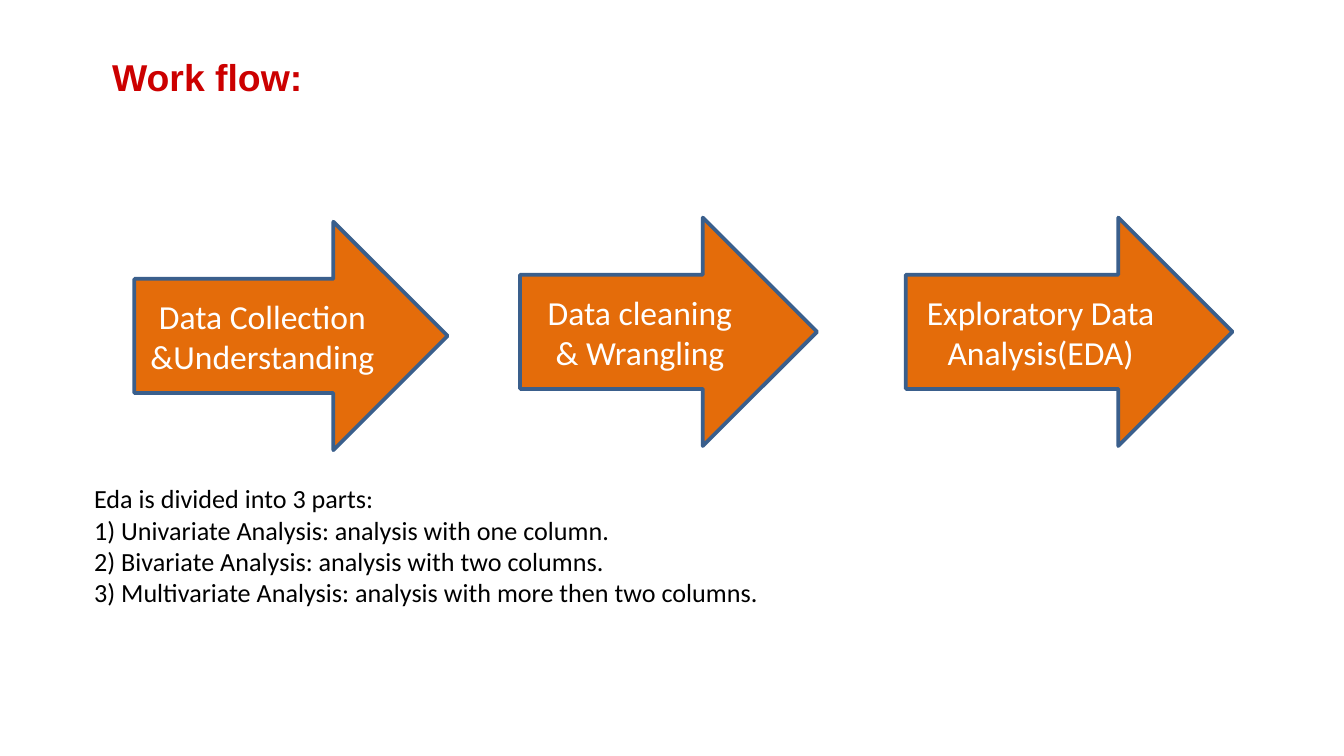
from pptx import Presentation
from pptx.dml.color import RGBColor
from pptx.enum.shapes import MSO_SHAPE as Shape
from pptx.enum.text import MSO_ANCHOR as Anchor, PP_ALIGN as Align
from pptx.util import Pt

STEPS = [  # label, left, top, width
    ("Data Collection &Understanding", 72, 118.8, 167.8),
    ("Data cleaning & Wrangling", 278.6, 116.6, 159.1),
    ("Exploratory Data Analysis(EDA)", 485.3, 116.6, 175),
]
STEP_HEIGHT = 122.4
EDA_LINES = [
    "Eda is divided into 3 parts:",
    "1) Univariate Analysis: analysis with one column.",
    "2) Bivariate Analysis: analysis with two columns.",
    "3) Multivariate Analysis: analysis with more then two columns.",
]


def color(value):
    return RGBColor.from_string(value)


def place(shape, box):
    shape.left, shape.top, shape.width, shape.height = (Pt(n) for n in box)


def write(frame, lines, size, font, fill, align, anchor, margin, bold=False):
    frame.text = "\n".join(lines)
    frame.word_wrap = True
    frame.vertical_anchor = anchor
    frame.margin_left = frame.margin_right = Pt(margin)
    frame.margin_top = frame.margin_bottom = Pt(margin / 2)
    for para in frame.paragraphs:
        para.alignment = align
        for span in para.runs:
            span.font.name, span.font.size, span.font.bold = font, Pt(size), bold
            span.font.color.rgb = color(fill)


def add_title(page, box):
    title = page.shapes.title
    place(title, box)
    write(title.text_frame, ["Work flow:"], 20, "Arial", "CC0000",
          Align.LEFT, Anchor.MIDDLE, 0, bold=True)


def add_step(page, label, box):
    arrow = page.shapes.add_shape(Shape.RIGHT_ARROW, *(Pt(n) for n in box))
    arrow.shadow.inherit = False
    arrow.fill.solid()
    arrow.fill.fore_color.rgb = color("E46C0A")
    arrow.line.color.rgb = color("3A5F8C")
    arrow.line.width = Pt(2)
    write(arrow.text_frame, [label], 18, "Calibri", "FFFFFF",
          Align.CENTER, Anchor.MIDDLE, 7.2)


def add_eda_parts(page, box):
    note = page.shapes.add_textbox(*(Pt(n) for n in box))
    write(note.text_frame, EDA_LINES, 14, "Calibri", "000000",
          Align.LEFT, Anchor.TOP, 0)


def main():
    deck = Presentation()
    deck.slide_width, deck.slide_height = Pt(720), Pt(405)
    page = deck.slides.add_slide(deck.slide_layouts[5])

    # Heading
    add_title(page, (60, 28.8, 287, 24.5))
    # Workflow arrows
    for label, left, top, width in STEPS:
        add_step(page, label, (left, top, width, STEP_HEIGHT))
    # Explanation of the last step
    add_eda_parts(page, (50.4, 258.5, 618.5, 68.5))

    deck.save("out.pptx")


if __name__ == "__main__":
    main()
